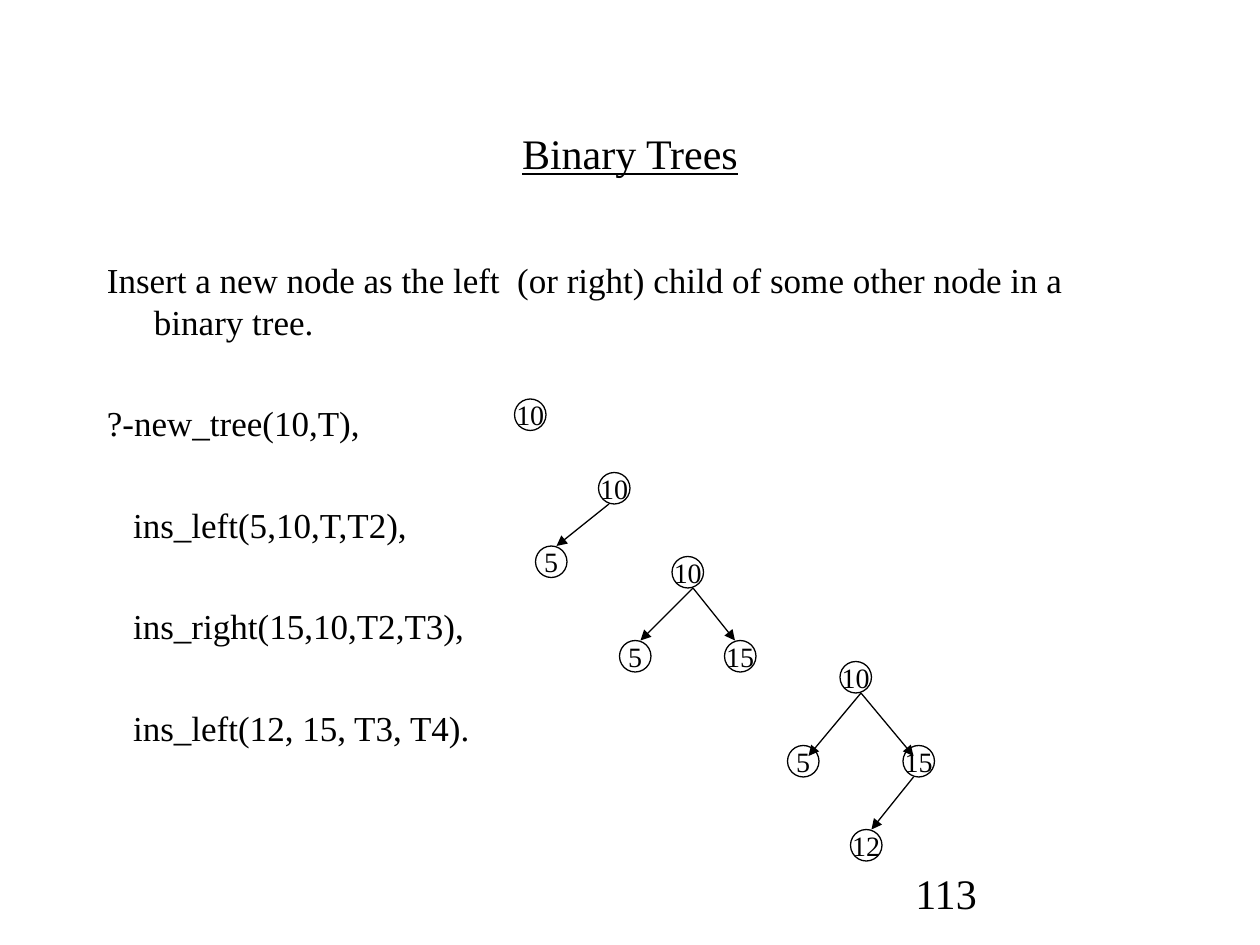
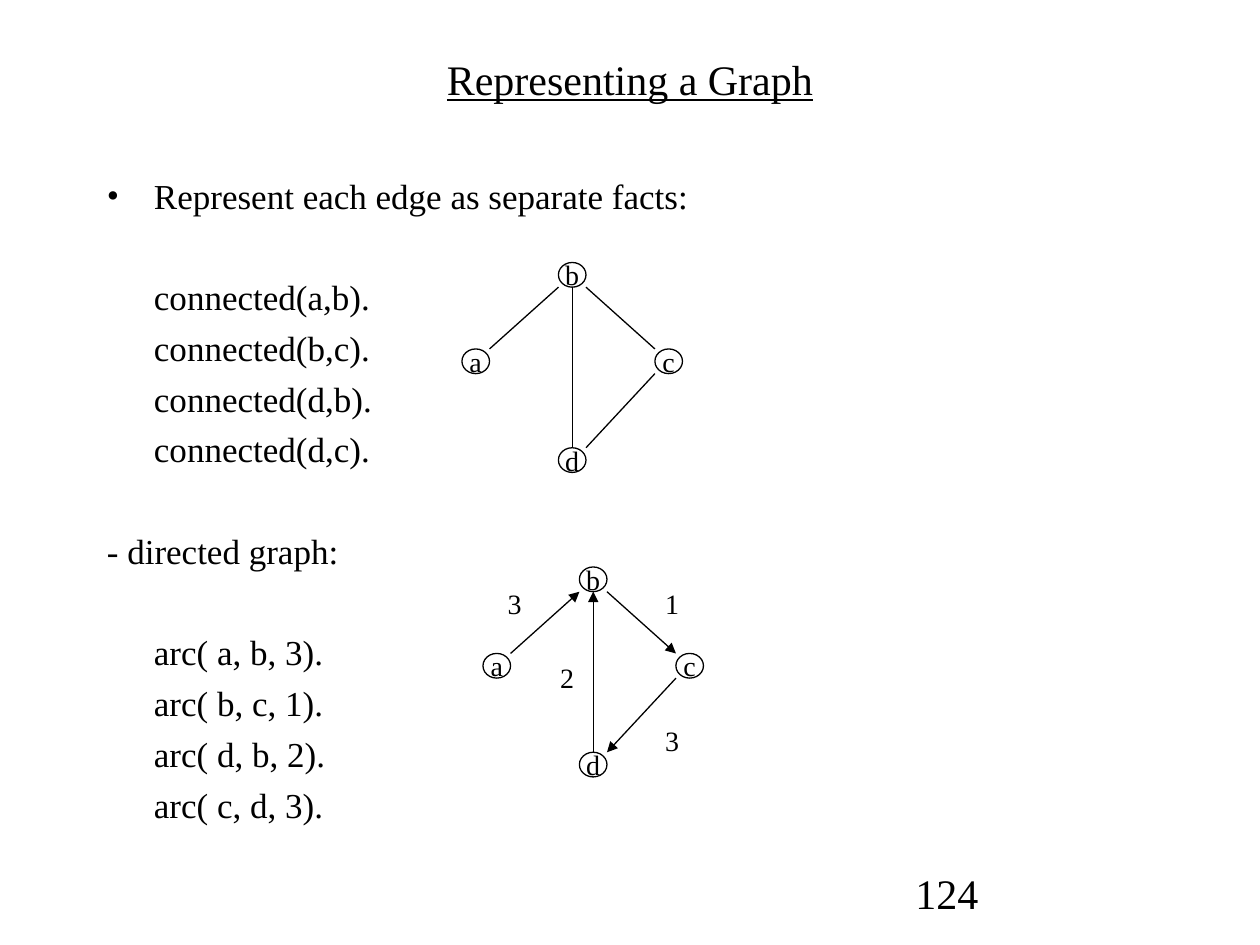
from lxml import etree
from pptx import Presentation
from pptx.dml.color import RGBColor
from pptx.enum.shapes import MSO_CONNECTOR, MSO_SHAPE
from pptx.enum.text import MSO_ANCHOR, PP_ALIGN
from pptx.oxml.ns import qn
from pptx.util import Cm, Pt

OVAL, RECT = MSO_SHAPE.OVAL, MSO_SHAPE.RECTANGLE
LINE = MSO_CONNECTOR.STRAIGHT
MID, TOP = MSO_ANCHOR.MIDDLE, MSO_ANCHOR.TOP
LEFT, MIDDLE = PP_ALIGN.LEFT, PP_ALIGN.CENTER

FONT = "Times New Roman"
INK, PAPER = "000000", "FFFFFF"
HANG = Cm(0.95)
ROW, GAP = 24, 5  # body line height and paragraph gap, in points


def unit(n):
    """Twelve units make one inch; every part sits on this grid."""
    return Cm(n * 2.54 / 12)


def hue(code):
    return RGBColor.from_string(code)


def write(para, text, size=16, align=LEFT, line=False):
    para.alignment = align
    run = para.add_run()
    run.text = text
    font = run.font
    font.name, font.size, font.underline = FONT, Pt(size), line
    font.color.rgb = hue(INK)


def frame(shape, anchor=TOP, wrap=True):
    area = shape.text_frame
    area.word_wrap, area.vertical_anchor = wrap, anchor
    return area


def add_box(slide, box, anchor=TOP):
    return frame(slide.shapes.add_textbox(*map(unit, box)), anchor)


def add_title(slide, text, top):
    area = add_box(slide, (9, top, 102, 15), MID)
    write(area.paragraphs[0], text, size=24, align=MIDDLE, line=True)


def add_page(slide, text):
    write(add_box(slide, (86, 82, 25, 6)).paragraphs[0], text, size=24)


def add_body(slide, box, rows):
    """Each row holds its text, its style and whether a gap comes first."""
    area = add_box(slide, box)
    for i, (text, style, gap) in enumerate(rows):
        para = area.paragraphs[0] if i == 0 else area.add_paragraph()
        props = para._p.get_or_add_pPr()
        props.set("marL", str(HANG))
        props.set("indent", str(0 if style == "code" else -HANG))
        para.line_spacing = Pt(ROW)
        if i:
            para.space_before = Pt(GAP + (ROW + GAP if gap else 0))
        if style == "dot":
            etree.SubElement(props, qn("a:buFont")).set("typeface", FONT)
            etree.SubElement(props, qn("a:buChar")).set("char", "•")
        para.font.size = Pt(20)
        write(para, text, size=20)


def add_mark(slide, kind, text, box):
    """A white shape with a short label; circles get an outline."""
    shape = slide.shapes.add_shape(kind, *map(unit, box))
    shape.shadow.inherit = False
    shape.fill.solid()
    shape.fill.fore_color.rgb = hue(PAPER)
    if kind == OVAL:
        shape.line.color.rgb = hue(INK)
        shape.line.width = Pt(0.75)
    else:
        shape.line.fill.background()
    write(frame(shape, MID, False).paragraphs[0], text, align=MIDDLE)


def add_edge(slide, ends, arrow=True):
    edge = slide.shapes.add_connector(LINE, *map(unit, ends))
    edge.line.color.rgb = hue(INK)
    edge.line.width = Pt(0.75)
    if arrow:
        line = edge.line._get_or_add_ln()
        etree.SubElement(line, qn("a:tailEnd")).set("type", "triangle")
    etree.SubElement(edge._element.spPr, qn("a:effectLst"))


def add_tree(slide, root, nodes, edges):
    """Nodes and edges are placed from the corner of the root node."""
    x, y = root
    for text, dx, dy in [("10", 0, 0)] + nodes:
        add_mark(slide, OVAL, text, (x + dx, y + dy, 3, 3))
    for a, b, c, d in edges:
        add_edge(slide, (x + a, y + b, x + c, y + d))


# Columns and rows inside the box of a graph, one node being one cell
COLS, ROWS = 8, 8.5
NODES = [("b", 3.5, 0), ("a", 0, 3.5), ("c", 7, 3.5), ("d", 3.5, 7.5)]
EDGES = [(1, 3.5, 3.5, 1), (4.5, 1, 7, 3.5),
         (7, 4.5, 4.5, 7.5), (4, 7.5, 4, 1)]


def add_graph(slide, box, arrow=False, costs=()):
    x, y, wide, high = box
    w, h = wide / COLS, high / ROWS
    for text, col, row in NODES:
        add_mark(slide, OVAL, text, (x + col * w, y + row * h, w, h))
    for a, b, c, d in EDGES:
        ends = (x + a * w, y + b * h, x + c * w, y + d * h)
        add_edge(slide, ends, arrow)
    for text, dx, dy in costs:
        add_mark(slide, RECT, text, (x + dx, y + dy, 4, 3))


def tree_slide(slide):
    add_title(slide, "Binary Trees", 7)
    add_body(slide, (9, 24, 102, 56), [
        ("Insert a new node as the left  (or right) child of some other "
         "node in a binary tree.", "text", False),
        ("?-new_tree(10,T),", "text", True),
        ("   ins_left(5,10,T,T2),", "text", True),
        ("   ins_right(15,10,T2,T3),", "text", True),
        ("   ins_left(12, 15, T3, T4).", "text", True),
    ])
    # The tree after each step
    add_tree(slide, (49, 38), [], [])
    add_tree(slide, (57, 45), [("5", -6, 7)], [(1, 3, -4, 7)])
    add_tree(slide, (64, 53), [("5", -5, 8), ("15", 5, 8)],
             [(2, 3, -3, 8), (2, 3, 6, 8)])
    add_tree(slide, (80, 63), [("5", -5, 8), ("15", 6, 8), ("12", 1, 16)],
             [(2, 3, -3, 9), (2, 3, 7, 9), (7, 11, 3, 16)])
    add_page(slide, "113")


def graph_slide(slide):
    add_title(slide, "Representing a Graph", 0)
    add_body(slide, (9, 16, 102, 64), [
        ("Represent each edge as separate facts:", "dot", False),
        ("connected(a,b).", "code", True),
        ("connected(b,c).", "code", False),
        ("connected(d,b).", "code", False),
        ("connected(d,c).", "code", False),
        ("- directed graph:", "text", True),
        ("arc( a, b, 3).", "code", True),
        ("arc( b, c, 1).", "code", False),
        ("arc( d, b, 2).", "code", False),
        ("arc( c, d, 3).", "code", False),
    ])
    # Plain graph, then the directed one with its costs
    add_graph(slide, (44, 25, 21, 20))
    add_graph(slide, (46, 54, 21, 20), arrow=True, costs=[
        ("3", 1, 2), ("1", 16, 2), ("3", 16, 15), ("2", 6, 9)])
    add_page(slide, "124")


def main():
    deck = Presentation()
    deck.slide_width, deck.slide_height = Cm(25.4), Cm(19.05)
    blank = deck.slide_layouts[6]
    for build in (tree_slide, graph_slide):
        build(deck.slides.add_slide(blank))
    deck.save("out.pptx")


if __name__ == "__main__":
    main()
